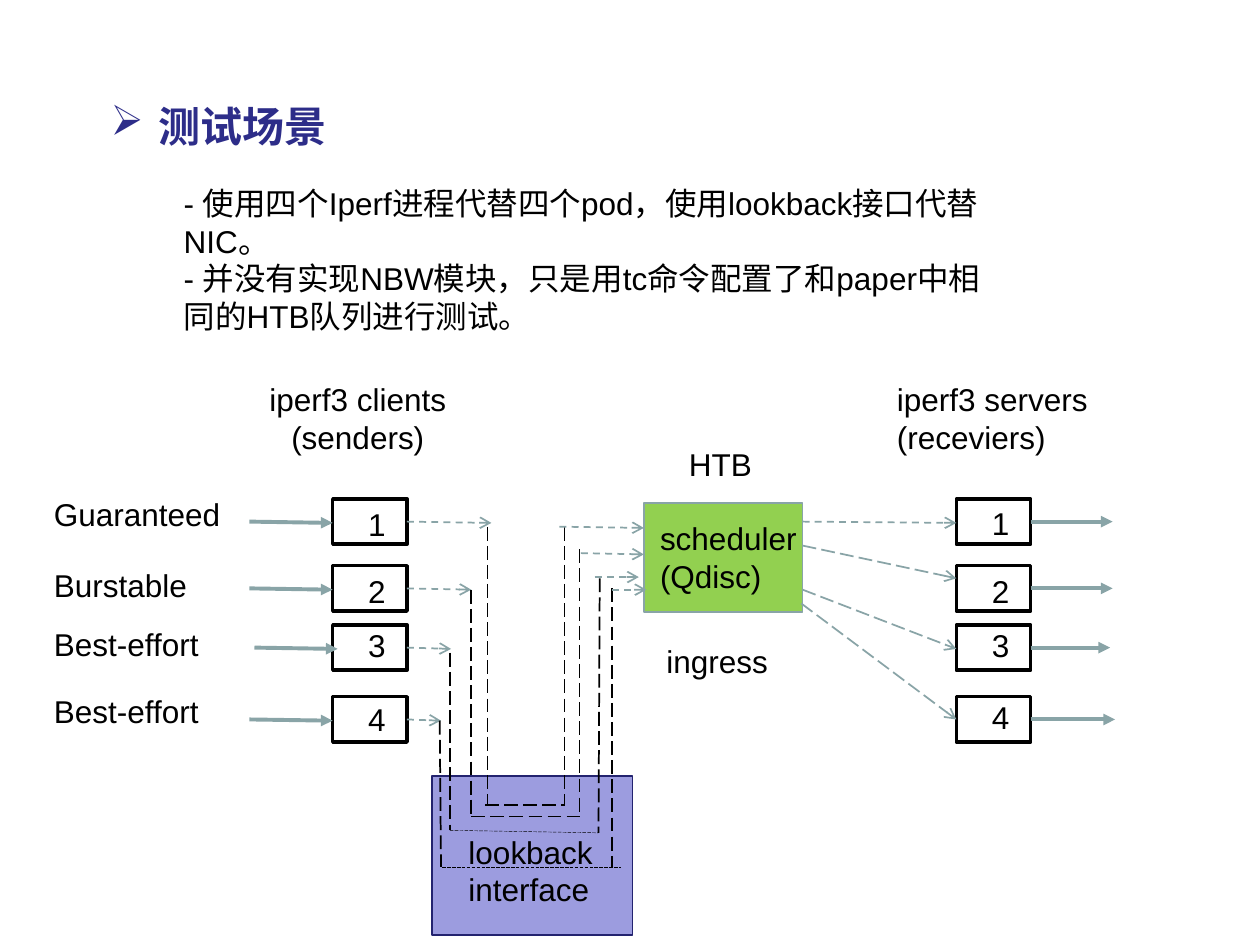
"""Build the test-scenario slide on a grid of 100 columns by 75 rows."""
from typing import NamedTuple, Optional

from lxml import etree
from pptx import Presentation
from pptx.dml.color import RGBColor
from pptx.enum import dml, shapes, text
from pptx.oxml import ns
from pptx import util as u

COLS, ROWS = 100, 75
CELL = u.Inches(10) // COLS
BLACK, WHITE, GREY, NAVY = "000000", "FFFFFF", "89A4A7", "2D2D89"
DASH, LONG = dml.MSO_LINE.DASH, dml.MSO_LINE.LONG_DASH
BOX_W, BOX_H = 5.9, 3.6
CLIENT_X, SERVER_X = 26.4, 75.9


class Point(NamedTuple):
    """A place on the grid."""
    col: float
    row: float


class Box(NamedTuple):
    """A filled rectangle."""
    col: float
    row: float
    cols: float
    rows: float
    fill: str
    line: str
    weight: float


class Label(NamedTuple):
    """A text box with its paragraphs."""
    col: float
    row: float
    cols: float
    rows: float
    lines: tuple
    align: Optional[text.PP_ALIGN] = None


class Stroke(NamedTuple):
    """The look of a line."""
    color: str
    weight: float
    dash: Optional[dml.MSO_LINE] = None
    head: Optional[str] = None


class Channel(NamedTuple):
    """One flow from its class name to its server."""
    name: str
    name_row: float
    row: float
    client_row: float
    server_row: float
    feed: float
    out: float
    outlet: float
    down: tuple
    up: tuple
    base: tuple
    base_weight: float
    entry: tuple
    leave: Point
    arrive: float
    fan_dash: dml.MSO_LINE


CHANNELS = (
    Channel("Guaranteed", 38.8, 41.4, 39.6, 39.5, 19.8, 88.3, 39,
            (Point(38.7, 41.8), Point(38.7, 64)), (Point(44.8, 41.8), Point(44.8, 64)),
            (Point(38.5, 63.9), Point(44.8, 63.9)), 1,
            (Point(44.4, 41.8), Point(51.1, 41.9)), Point(63.7, 41.4), 41.5, DASH),
    Channel("Burstable", 44.4, 46.7, 44.9, 44.9, 19.8, 88.3, 37.4,
            (Point(37.4, 46.8), Point(37.4, 64.8)), (Point(46, 43.6), Point(46, 64.8)),
            (Point(37.4, 64.8), Point(46, 64.8)), 1,
            (Point(46.1, 43.9), Point(51.1, 44)), Point(63.7, 43.3), 45.9, LONG),
    Channel("Best-effort", 49.1, 51.4, 49.2, 49.2, 20.2, 88.1, 35.8,
            (Point(35.7, 51.8), Point(35.7, 65.9)), (Point(47.6, 45.9), Point(47.5, 66.1)),
            (Point(35.7, 65.9), Point(47.5, 66.1)), 0.25,
            (Point(47.2, 45.8), Point(50.7, 45.8)), Point(63.7, 46.8), 51.5, LONG),
    Channel("Best-effort", 54.4, 57.1, 55.1, 54.9, 19.8, 88.5, 35,
            (Point(34.9, 57.2), Point(35, 68.8)), (Point(48.6, 46.7), Point(48.6, 68.8)),
            (Point(35.1, 68.8), Point(49.3, 68.8)), 0.25,
            (Point(48.6, 46.8), Point(51.3, 46.8)), Point(63.6, 47.9), 57.1, LONG),
)
BOXES = (
    Box(34.3, 61.6, 15.9, 12.6, "9C9CDF", "23236F", 1),
    Box(51.1, 39.9, 12.6, 8.7, "92D050", GREY, 1),
)
TITLE = Label(7.8, 7.5, 34.5, 9, ("测试场景",))
LABELS = (
    Label(20.2, 29.7, 16.4, 7, ("iperf3 clients (senders)",), text.PP_ALIGN.CENTER),
    Label(70.2, 29.7, 20.2, 7, ("iperf3 servers (receviers)",)),
    Label(36.2, 65.6, 14, 7, ("lookback", "interface")),
    Label(51.4, 40.7, 13.7, 7, ("scheduler", "(Qdisc)")),
    Label(53.7, 34.8, 10, 4, ("HTB",)),
    Label(51.9, 50.5, 11.1, 4, ("ingress",)),
    Label(13.6, 14.1, 65.9, 13, (
        "- 使用四个Iperf进程代替四个pod，使用lookback接口代替NIC。",
        "- 并没有实现NBW模块，只是用tc命令配置了和paper中相同的HTB队列进行测试。")),
)
FLOW = Stroke(GREY, 2.25, head="triangle")
HOP = Stroke(GREY, 1, DASH, "arrow")
LOOP = Stroke(BLACK, 1, LONG)


def rgb(value: str) -> RGBColor:
    """Turn a hex string into a colour."""
    return RGBColor.from_string(value)


def grid(*cells: float) -> list:
    """Turn grid lengths into slide lengths."""
    return [u.Emu(round(n * CELL)) for n in cells]


def add_box(s, box: Box) -> None:
    """Draw a filled rectangle."""
    sp = s.shapes.add_shape(shapes.MSO_SHAPE.RECTANGLE, *grid(*box[:4]))
    sp.shadow.inherit = False
    sp.fill.solid()
    sp.fill.fore_color.rgb = rgb(box.fill)
    sp.line.color.rgb = rgb(box.line)
    sp.line.width = u.Pt(box.weight)


def add_label(s, label: Label, color: str = BLACK, bullet: str = "", **font) -> None:
    """Write a text box, with a hanging bullet when one is given."""
    tf = s.shapes.add_textbox(*grid(*label[:4])).text_frame
    tf.word_wrap = True
    for i, line in enumerate(label.lines):
        p = tf.paragraphs[0] if i == 0 else tf.add_paragraph()
        p.alignment = label.align
        if bullet:
            pr = p._p.get_or_add_pPr()
            indent = u.Inches(0.38)
            pr.set("marL", str(indent))
            pr.set("indent", str(-indent))
            clr = etree.SubElement(pr, ns.qn("a:buClr"))
            etree.SubElement(clr, ns.qn("a:srgbClr"), val=color)
            etree.SubElement(pr, ns.qn("a:buChar"), char=bullet)
        r = p.add_run()
        r.text = line
        for key, value in {"name": "Arial", "size": u.Pt(18), **font}.items():
            setattr(r.font, key, value)
        r.font.color.rgb = rgb(color)


def add_line(s, start: Point, end: Point, stroke: Stroke) -> None:
    """Draw a straight line, with an arrowhead at its end if the stroke has one."""
    c = s.shapes.add_connector(shapes.MSO_CONNECTOR.STRAIGHT, *grid(*start, *end))
    c.line.color.rgb = rgb(stroke.color)
    c.line.width = u.Pt(stroke.weight)
    if stroke.dash:
        c.line.dash_style = stroke.dash
    if stroke.head:
        etree.SubElement(c.line._get_or_add_ln(), ns.qn("a:tailEnd"), type=stroke.head)
    etree.SubElement(c._element.spPr, ns.qn("a:effectLst"))


def add_ends(s, ch: Channel) -> None:
    """Draw a channel's name and its numbered client and server."""
    number = str(CHANNELS.index(ch) + 1)
    add_label(s, Label(3.3, ch.name_row, 15.9, 4, (ch.name,)))
    for col, row in ((CLIENT_X, ch.client_row), (SERVER_X, ch.server_row)):
        add_box(s, Box(col, ch.row - BOX_H / 2, BOX_W, BOX_H, WHITE, BLACK, 2))
        add_label(s, Label(col + 2, row, 1.8, 4, (number,)))


def add_route(s, ch: Channel) -> None:
    """Draw a channel's lines from feed to output."""
    shift = ch.feed - CHANNELS[0].feed
    add_line(s, Point(ch.feed, ch.row), Point(CLIENT_X + shift, ch.row + 0.1), FLOW)
    add_line(s, Point(SERVER_X + BOX_W, ch.row), Point(ch.out, ch.row), FLOW)
    add_line(s, Point(CLIENT_X + BOX_W, ch.row), Point(ch.outlet, ch.row + 0.1), HOP)
    for ends in (ch.down, ch.up):
        add_line(s, *ends, LOOP)
    add_line(s, *ch.base, LOOP._replace(weight=ch.base_weight))
    add_line(s, *ch.entry, HOP)
    add_line(s, ch.leave, Point(SERVER_X, ch.arrive), HOP._replace(dash=ch.fan_dash))


def main() -> None:
    """Build and save the slide."""
    prs = Presentation()
    prs.slide_width, prs.slide_height = grid(COLS, ROWS)
    s = prs.slides.add_slide(prs.slide_layouts[6])
    add_label(s, TITLE, NAVY, "➢", size=u.Pt(24), bold=True)
    for box in BOXES:
        add_box(s, box)
    for label in LABELS:
        add_label(s, label)
    for draw in (add_ends, add_route):
        for ch in CHANNELS:
            draw(s, ch)
    prs.save("out.pptx")


if __name__ == "__main__":
    main()
